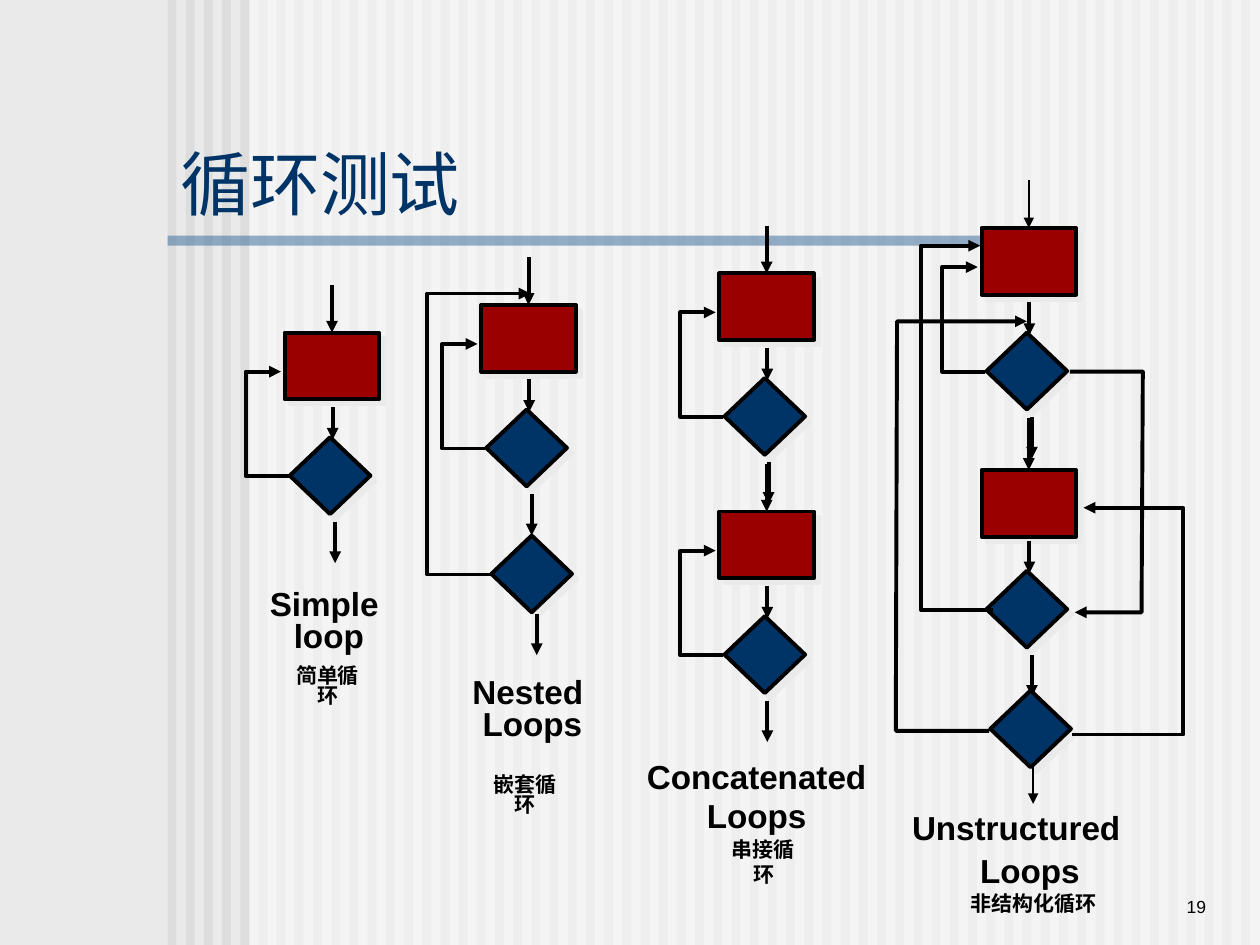
from dataclasses import dataclass

from lxml.etree import SubElement
from pptx import Presentation
from pptx.dml.color import RGBColor
from pptx.enum.shapes import MSO_CONNECTOR as Connector, MSO_SHAPE as Shape
from pptx.enum.text import MSO_ANCHOR as Anchor, MSO_AUTO_SIZE as AutoSize, PP_ALIGN as Align
from pptx.oxml.ns import qn
from pptx.util import Inches, Pt

COLORS = {
    "background": "EAEAEA",
    "stripe": "DDDDDD",
    "veil": "FFFFFF",
    "rule": "336699",
    "box": "9A0000",
    "navy": "003366",
    "ink": "000000",
}
BOX_WIDTH, BOX_HEIGHT = 0.75, 0.53
DIAMOND_WIDTH, DIAMOND_HEIGHT = 0.64, 0.61
LINE_WIDTH = 2.25


@dataclass
class Loop:
    """A process box, its test diamond and the arrows around them."""
    left: float
    top: float
    exit_x: float = 0.4
    box_drop: float = 0.0
    entry_width: float = LINE_WIDTH
    returns: bool = True


@dataclass
class Label:
    left: float
    top: float
    width: float
    height: float
    text: str
    size: float = 12
    align: Align = Align.CENTER
    spacing: float = 1.0


LOOPS = [
    Loop(2.26, 2.64),
    Loop(3.82, 2.42),
    Loop(5.71, 2.17, exit_x=0.39),
    Loop(5.71, 4.06, exit_x=0.38),
    Loop(7.79, 1.81, entry_width=1),
    Loop(7.79, 3.7, box_drop=0.03, returns=False),
]
EXTRA_DIAMONDS = [(3.9, 4.25), (7.86, 5.48)]
EXTRA_ARROWS = [(4.26, 4.87, 5.2, LINE_WIDTH), (8.2, 6.06, 6.38, 1)]
LONG_RETURNS = [
    [(3.9, 4.56), (3.39, 4.56), (3.39, 2.33), (4.21, 2.33)],
    [(7.88, 4.84), (7.31, 4.84), (7.31, 1.95), (7.78, 1.95)],
    [(8.49, 2.95), (9.07, 2.95), (9.06, 4.86), (8.53, 4.86)],
    [(8.51, 5.83), (9.39, 5.83), (9.39, 4.03), (8.6, 4.03)],
    [(7.85, 5.8), (7.11, 5.8), (7.12, 2.55), (8.15, 2.55)],
]
LABELS = [
    Label(2.04, 4.64, 1.14, 0.6, "Simple \nloop", 19, spacing=0.8),
    Label(2.17, 5.25, 0.86, 0.26, "简单循环", spacing=0.8),
    Label(3.65, 5.34, 1.15, 0.6, "Nested \nLoops", 19, spacing=0.8),
    Label(3.74, 6.11, 0.86, 0.26, "嵌套循环", spacing=0.8),
    Label(5, 5.95, 2.01, 0.73, "Concatenated\nLoops", 19),
    Label(5.63, 6.59, 0.86, 0.3, "串接循环"),
    Label(7.14, 6.36, 2.36, 0.41, "Unstructured", 19, Align.LEFT),
    Label(7.68, 6.7, 0.99, 0.41, "Loops", 19, Align.LEFT),
    Label(7.6, 7.06, 1.2, 0.26, "非结构化循环", spacing=0.8),
]


def color(name: str) -> RGBColor:
    return RGBColor.from_string(COLORS[name])


def write(frame, text: str, *, size: float, ink: str = "ink", bold: bool = False,
          align: Align = Align.LEFT, spacing: float = 1.0, anchor: Anchor = Anchor.TOP,
          wrap: bool = True, auto_size: AutoSize = AutoSize.NONE) -> None:
    frame.text = text
    frame.word_wrap = wrap
    frame.auto_size = auto_size
    frame.vertical_anchor = anchor
    for paragraph in frame.paragraphs:
        paragraph.alignment = align
        paragraph.line_spacing = spacing
        font = paragraph.font
        font.name, font.size, font.bold = "Arial", Pt(size), bold
        font.color.rgb = color(ink)


def add_band(shapes, left: float, width: float, fill: str, top: float = 0,
             height: float = 7.5, opacity: int = 100) -> None:
    band = shapes.add_shape(Shape.RECTANGLE, *map(Inches, (left, top, width, height)))
    band.shadow.inherit = False
    band.fill.solid()
    band.fill.fore_color.rgb = color(fill)
    band.line.fill.background()
    if opacity < 100:
        rgb = band.fill._xPr.find(".//" + qn("a:srgbClr"))
        SubElement(rgb, qn("a:alpha"), val=str(opacity * 1000))


def add_node(shapes, kind: Shape, left: float, top: float):
    is_box = kind == Shape.RECTANGLE
    width, height = (BOX_WIDTH, BOX_HEIGHT) if is_box else (DIAMOND_WIDTH, DIAMOND_HEIGHT)
    node = shapes.add_shape(kind, *map(Inches, (left, top, width, height)))
    node.fill.solid()
    node.fill.fore_color.rgb = color("box" if is_box else "navy")
    node.line.color.rgb = color("ink")
    node.line.width = Pt(LINE_WIDTH)
    # Hard-edged shadow to the lower right
    node.shadow.inherit = False
    effects = node.element.spPr.find(qn("a:effectLst"))
    shadow = SubElement(effects, qn("a:outerShdw"), dist=str(Pt(4.2)), dir="2700000",
                        algn="ctr", rotWithShape="0")
    SubElement(shadow, qn("a:srgbClr"), val=COLORS["background"])
    return node


def style_arrow(line, width: float) -> None:
    line.color.rgb = color("ink")
    line.width = Pt(width)
    SubElement(line._get_or_add_ln(), qn("a:tailEnd"), type="triangle")


def add_down_arrow(shapes, x: float, start: float, end: float, width: float = LINE_WIDTH):
    arrow = shapes.add_connector(Connector.STRAIGHT, *map(Inches, (x, start, x, end)))
    style_arrow(arrow.line, width)
    SubElement(arrow.element.spPr, qn("a:effectLst"))
    return arrow


def add_return(shapes, points: list[tuple[float, float]]) -> None:
    corners = [(Inches(x), Inches(y)) for x, y in points]
    builder = shapes.build_freeform(*corners[0])
    builder.add_line_segments(corners[1:], close=False)
    outline = builder.convert_to_shape()
    outline.fill.background()
    style_arrow(outline.line, LINE_WIDTH)
    outline.shadow.inherit = False


def add_loop(shapes, loop: Loop) -> None:
    x, y = loop.left, loop.top
    box = add_node(shapes, Shape.RECTANGLE, x, y + loop.box_drop)
    add_node(shapes, Shape.DIAMOND, x + 0.04, y + 0.83)
    entry = add_down_arrow(shapes, x + BOX_WIDTH / 2, y - 0.38, y, loop.entry_width)
    entry.end_connect(box, 0)
    add_down_arrow(shapes, x + 0.38, y + 0.59, y + 0.85)
    add_down_arrow(shapes, x + loop.exit_x, y + 1.5, y + 1.83)
    if loop.returns:
        add_return(shapes, [(x + 0.03, y + 1.14), (x - 0.31, y + 1.14),
                            (x - 0.31, y + 0.31), (x - 0.03, y + 0.31)])


def main() -> None:
    presentation = Presentation()
    presentation.slide_width, presentation.slide_height = Inches(10), Inches(7.5)
    slide = presentation.slides.add_slide(presentation.slide_layouts[5])
    shapes = slide.shapes

    # Striped background, white veil and blue rule
    slide.background.fill.solid()
    slide.background.fill.fore_color.rgb = color("background")
    stripe_count = 60
    pitch = (9.85 - 1.33) / (stripe_count - 1)
    for index in range(stripe_count):
        add_band(shapes, 1.33 + index * pitch, 0.07, "stripe")
    add_band(shapes, 1.98, 8.02, "veil", opacity=50)
    add_band(shapes, 1.33, 6.58, "rule", top=1.87, height=0.08, opacity=50)

    # Title, raised above the background bands
    title = shapes.title
    title.left, title.top, title.width, title.height = map(Inches, (1.33, 1.17, 5.21, 0.55))
    write(title.text_frame, "循环测试", size=40, ink="navy", anchor=Anchor.MIDDLE)
    title.element.getparent().append(title.element)

    # Flow diagrams
    for loop in LOOPS:
        add_loop(shapes, loop)
    for left, top in EXTRA_DIAMONDS:
        add_node(shapes, Shape.DIAMOND, left, top)
    for arrow in EXTRA_ARROWS:
        add_down_arrow(shapes, *arrow)
    for points in LONG_RETURNS:
        add_return(shapes, points)

    # Captions and page number
    for label in LABELS:
        box = shapes.add_textbox(*map(Inches, (label.left, label.top, label.width, label.height)))
        write(box.text_frame, label.text, size=label.size, bold=True, align=label.align,
              spacing=label.spacing, wrap=False, auto_size=AutoSize.SHAPE_TO_FIT_TEXT)
    number = shapes.add_textbox(*map(Inches, (8.25, 6.83, 1.42, 0.5)))
    write(number.text_frame, "19", size=10, align=Align.RIGHT, anchor=Anchor.BOTTOM)

    presentation.save("out.pptx")


if __name__ == "__main__":
    main()
